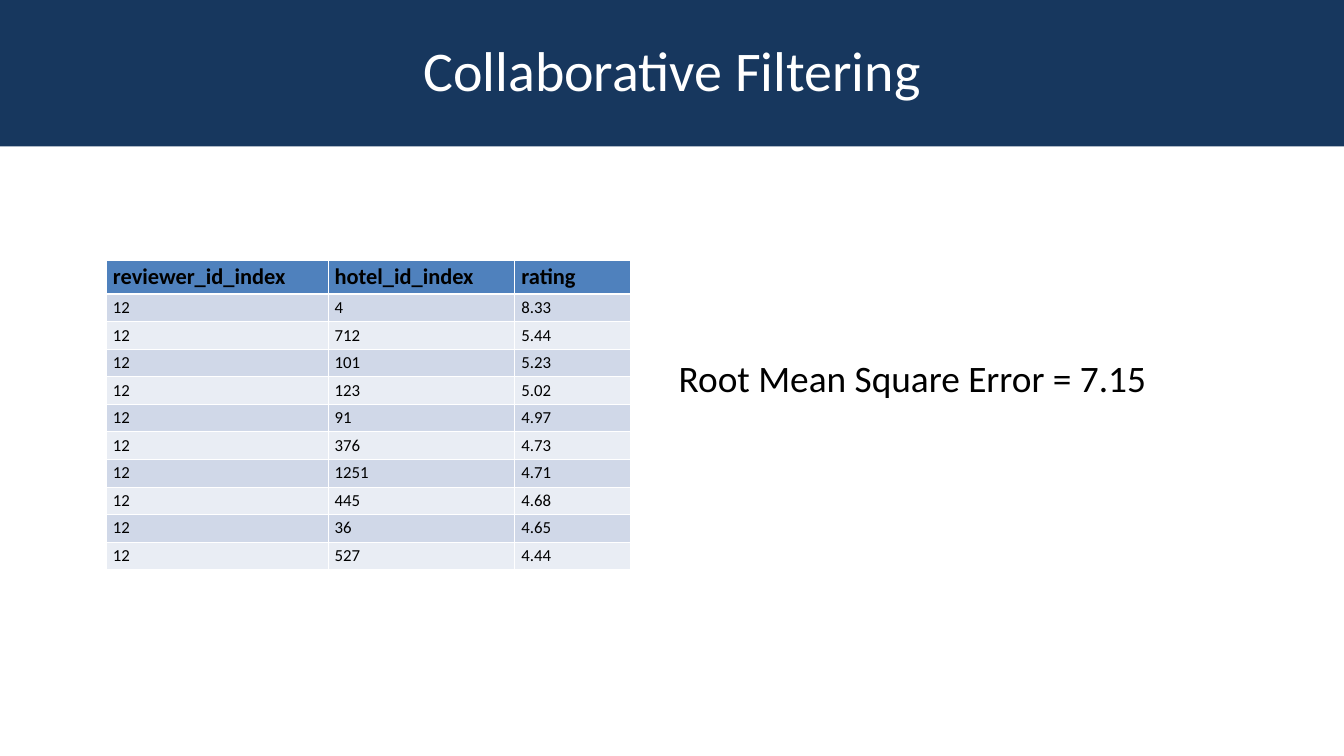
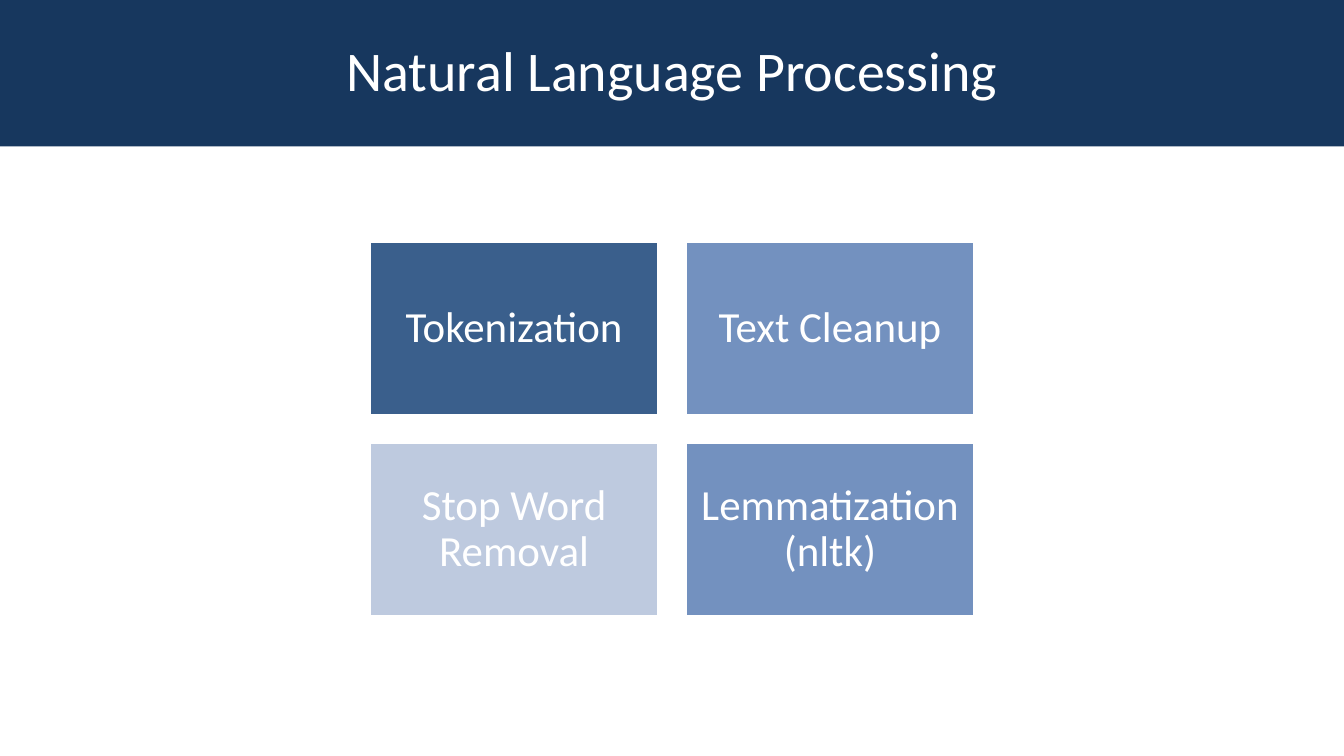
from lxml import etree
from pptx import Presentation
from pptx.dml.color import RGBColor
from pptx.enum.shapes import MSO_SHAPE
from pptx.enum.text import MSO_ANCHOR, PP_ALIGN
from pptx.oxml.ns import qn
from pptx.util import Inches, Pt

RECT = MSO_SHAPE.RECTANGLE
MIDDLE, TOP = MSO_ANCHOR.MIDDLE, MSO_ANCHOR.TOP
LEFT, CENTER = PP_ALIGN.LEFT, PP_ALIGN.CENTER

FONT = "Calibri"
COLORS = {
    "white": "FFFFFF", "black": "000000", "band": "17375E",
    "head": "4F81BD", "odd": "D0D8E8", "even": "E9EDF4",
    "dark": "3A5F8C", "mid": "7391BF", "light": "BECADF",
}
WIDTH, HEIGHT = 20, 11.25

RATINGS = [
    ("reviewer_id_index", "hotel_id_index", "rating"),
    (12, 4, "8.33"), (12, 712, "5.44"), (12, 101, "5.23"),
    (12, 123, "5.02"), (12, 91, "4.97"), (12, 376, "4.73"),
    (12, 1251, "4.71"), (12, 445, "4.68"), (12, 36, "4.65"),
    (12, 527, "4.44"),
]
STEPS = [
    ("Tokenization", "dark"), ("Text Cleanup", "mid"),
    ("Stop Word Removal", "light"), ("Lemmatization (nltk)", "mid"),
]


def rgb(name):
    return RGBColor.from_string(COLORS[name])


def write(frame, text, size, color="white", bold=False, align=CENTER,
          anchor=MIDDLE, spacing=0.9):
    frame.word_wrap = True
    frame.vertical_anchor = anchor
    para = frame.paragraphs[0]
    para.alignment = align
    para.line_spacing = spacing
    run = para.add_run()
    run.text = text
    font = run.font
    font.name, font.size, font.bold = FONT, Pt(size), bold
    font.color.rgb = rgb(color)


def block(slide, box, fill, line=None):
    """Draw a filled rectangle, with a white outline if line gives its width."""
    shape = slide.shapes.add_shape(RECT, *map(Inches, box))
    shape.shadow.inherit = False
    shape.fill.solid()
    shape.fill.fore_color.rgb = rgb(fill)
    if line:
        shape.line.color.rgb = rgb("white")
        shape.line.width = Pt(line)
    else:
        shape.line.fill.background()
    return shape


def titled(deck, title):
    """Add a slide with the title band."""
    slide = deck.slides.add_slide(deck.slide_layouts[6])
    band = block(slide, (0, 0, WIDTH, 2.18), "band")
    write(band.text_frame, title, 60)
    return slide


def border(cell, widths):
    """Give the cell white edges; widths maps each side to points."""
    props = cell._tc.get_or_add_tcPr()
    for place, (side, width) in enumerate(widths.items()):
        edge = etree.Element(qn(f"a:ln{side}"), w=str(Pt(width)))
        fill = etree.SubElement(edge, qn("a:solidFill"))
        etree.SubElement(fill, qn("a:srgbClr"), val=COLORS["white"])
        props.insert(place, edge)


def rating_table(slide, left, top, widths, row_height):
    count = len(RATINGS)
    table = slide.shapes.add_table(
        count, len(widths), Inches(left), Inches(top),
        Inches(sum(widths)), Inches(row_height * count)).table
    for column, width in zip(table.columns, widths):
        column.width = Inches(width)
    for r, values in enumerate(RATINGS):
        head = r == 0
        fill = "head" if head else "odd" if r % 2 else "even"
        for c, value in enumerate(values):
            cell = table.cell(r, c)
            cell.fill.solid()
            cell.fill.fore_color.rgb = rgb(fill)
            border(cell, {"L": 1, "R": 1, "T": 3 if r == 1 else 1,
                          "B": 3 if head else 1})
            write(cell.text_frame, str(value), 24 if head else 18, "black",
                  bold=head, align=LEFT, anchor=TOP, spacing=1)


def step_grid(slide, left, top, width, height, gap, cols=2):
    for i, (label, fill) in enumerate(STEPS):
        row, col = divmod(i, cols)
        box = (left + col * (width + gap), top + row * (height + gap),
               width, height)
        frame = block(slide, box, fill, line=2).text_frame
        frame.margin_left = frame.margin_right = Inches(0.19)
        frame.margin_top = frame.margin_bottom = Inches(0.19)
        write(frame, label, 46)


def filter_slide(deck):
    slide = titled(deck, "Collaborative Filtering")
    rating_table(slide, 1.58, 3.87, (3.3, 2.78, 1.72), 0.41)
    note = slide.shapes.add_textbox(*map(Inches, (10, 5.23, 7.39, 0.77)))
    write(note.text_frame, "Root Mean Square Error = 7.15", 40, "black",
          align=LEFT, anchor=TOP, spacing=1)


def language_slide(deck):
    slide = titled(deck, "Natural Language Processing")
    step_grid(slide, 5.51, 3.61, 4.28, 2.57, 0.42)


def main():
    deck = Presentation()
    deck.slide_width, deck.slide_height = Inches(WIDTH), Inches(HEIGHT)
    filter_slide(deck)
    language_slide(deck)
    deck.save("out.pptx")


if __name__ == "__main__":
    main()
